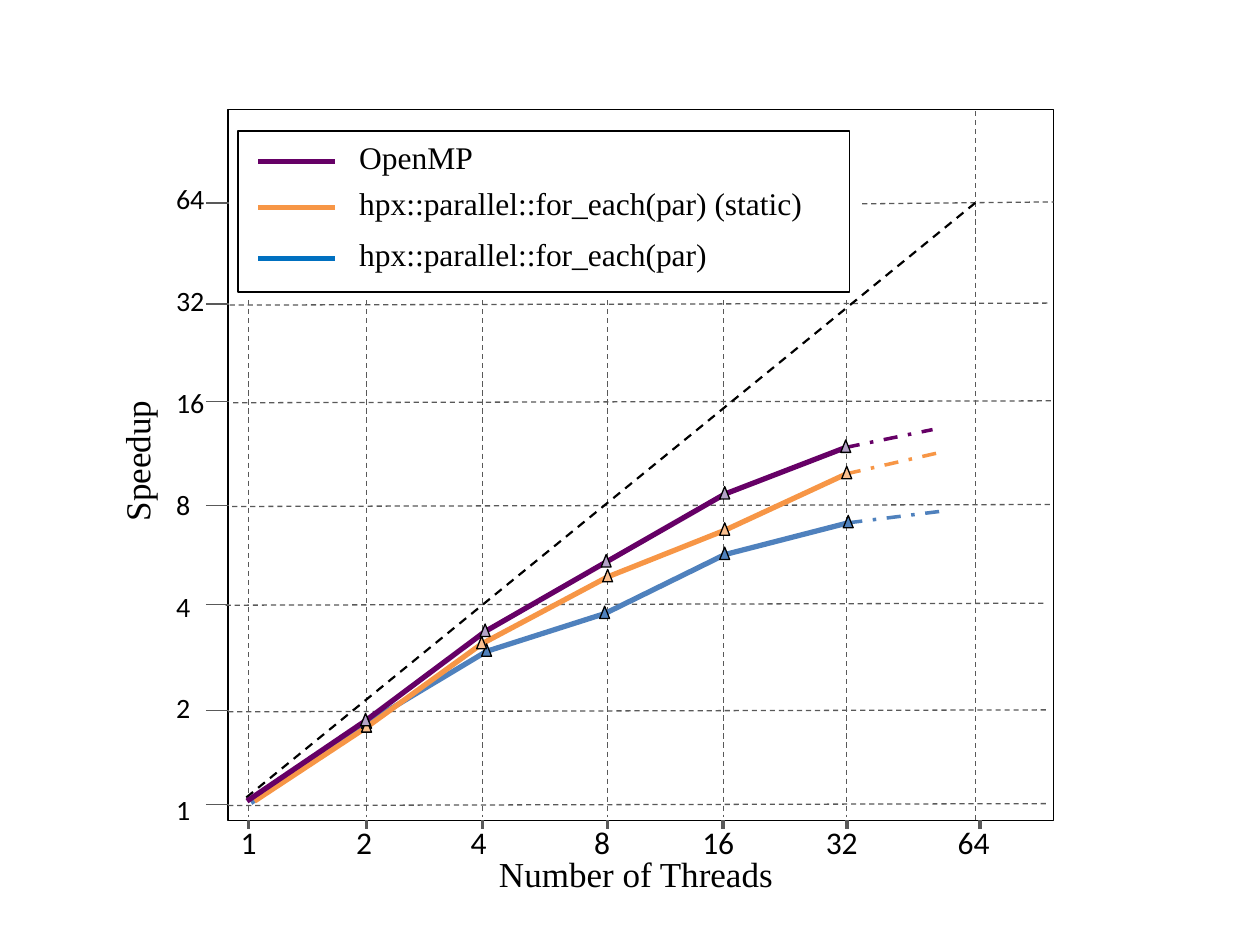
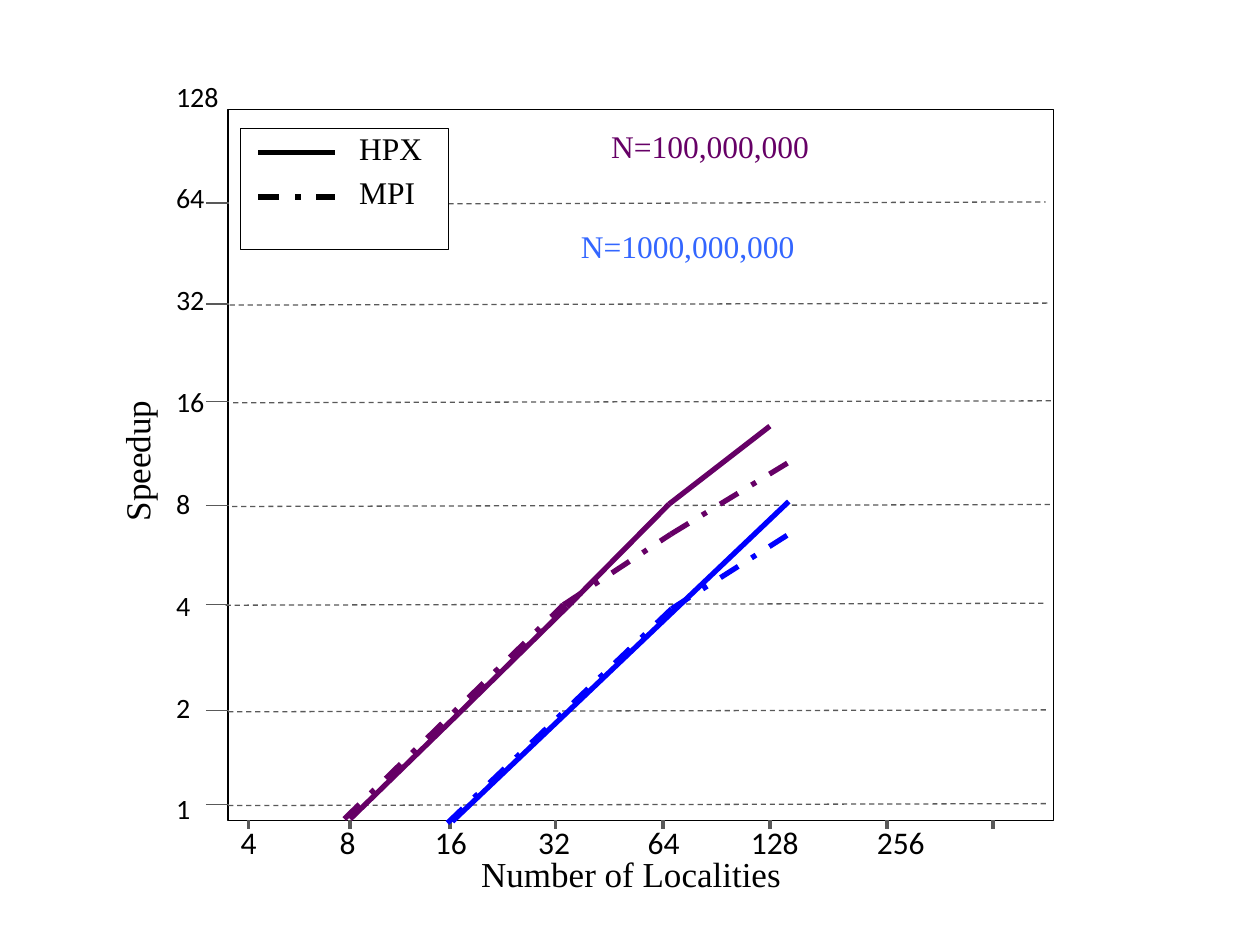
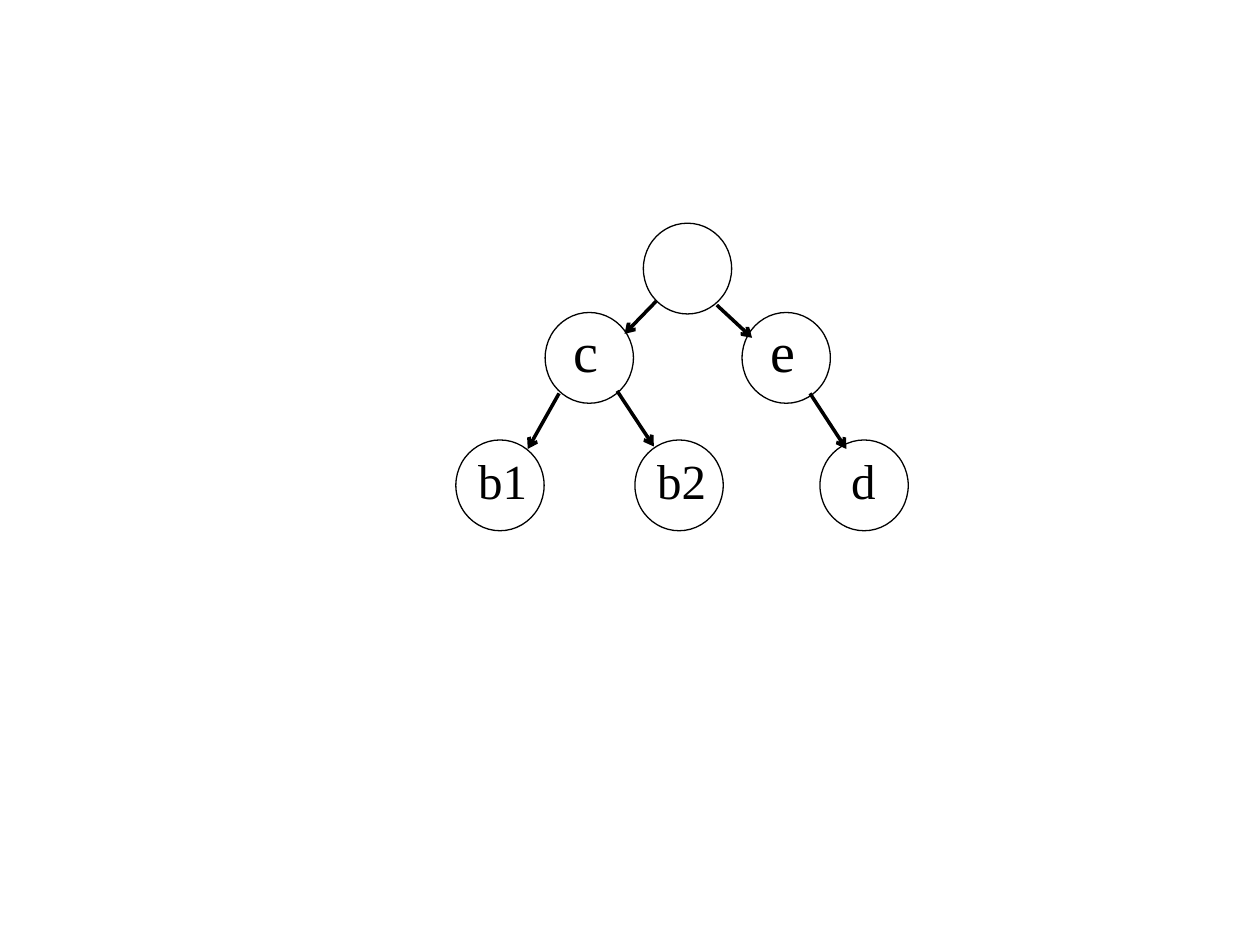
import itertools

import lxml.etree
import pptx
import pptx.dml.color
import pptx.enum.dml
import pptx.enum.shapes
import pptx.oxml.ns
import pptx.util

Cm = pptx.util.Cm
Pt = pptx.util.Pt
SHAPES = pptx.enum.shapes.MSO_SHAPE
DASH = pptx.enum.dml.MSO_LINE.DASH
DASH_DOT = pptx.enum.dml.MSO_LINE.DASH_DOT

COLORS = {
    "black": "000000",
    "axis": "595959",
    "purple": "660066",
    "orange": "F79646",
    "steel": "4F81BD",
    "legend blue": "0070C0",
    "blue": "0000FF",
    "label blue": "3366FF",
    "pale purple": "B3A2C7",
    "pale orange": "FAC090",
}
SERIF = "Times New Roman"
SANS = "Calibri"

PLOT_BOX = (4.6, 2.21, 16.64, 14.33)
TREE_BOX = (9.19, 4.5, 9.12, 6.2)
ROW_HEIGHTS = [1.88, 3.92, 5.89, 7.98, 9.97, 12.12, 14.01]
ROW_STARTS = [0.03, 0.1, 0.08, -0.05, 0, 0]
ROW_LENGTH = 16.54
LABEL_PITCH = 2.07


def color(name):
    return pptx.dml.color.RGBColor.from_string(COLORS[name])


def add_xml(parent, tag, **attributes):
    return lxml.etree.SubElement(parent, pptx.oxml.ns.qn(tag), attributes)


def add_text(slide, box, text, left, top, width, height, size=18, font=SERIF,
             ink="black", rotation=0, space_before=0, tabs=()):
    shape = slide.shapes.add_textbox(
        Cm(box[0] + left), Cm(box[1] + top), Cm(width), Cm(height))
    shape.rotation = rotation
    frame = shape.text_frame
    frame.word_wrap = True
    for index, content in enumerate(text.split("\n")):
        paragraph = frame.add_paragraph() if index else frame.paragraphs[0]
        if index and space_before:
            paragraph.space_before = Pt(space_before)
        if tabs:
            tab_list = add_xml(paragraph._p.get_or_add_pPr(), "a:tabLst")
            for position in tabs:
                add_xml(tab_list, "a:tab", pos=str(int(Cm(position))), algn="ctr")
        run = paragraph.add_run()
        run.text = content
        run.font.size = Pt(size)
        run.font.name = font
        run.font.color.rgb = color(ink)
    return shape


def add_shape(slide, box, kind, left, top, width, height, fill=None):
    shape = slide.shapes.add_shape(
        kind, Cm(box[0] + left), Cm(box[1] + top), Cm(width), Cm(height))
    shape.shadow.inherit = False
    if fill:
        shape.fill.solid()
        shape.fill.fore_color.rgb = color(fill)
    else:
        shape.fill.background()
    shape.line.color.rgb = color("black")
    shape.line.width = Pt(0.75)
    return shape


def add_line(slide, box, start, end, ink="axis", weight=0.75, dash=None, arrow=False):
    connector = slide.shapes.add_connector(
        pptx.enum.shapes.MSO_CONNECTOR.STRAIGHT,
        Cm(box[0] + start[0]), Cm(box[1] + start[1]),
        Cm(box[0] + end[0]), Cm(box[1] + end[1]))
    connector.line.color.rgb = color(ink)
    connector.line.width = Pt(weight)
    if dash:
        connector.line.dash_style = dash
    properties = connector._element.spPr
    if arrow:
        add_xml(properties.find(pptx.oxml.ns.qn("a:ln")), "a:tailEnd", type="arrow")
    add_xml(properties, "a:effectLst")
    return connector


def add_polyline(slide, box, points, ink, dash=None):
    for start, end in itertools.pairwise(points):
        add_line(slide, box, start, end, ink, 3, dash)


def add_axes(slide, box, title, title_left, title_width, columns, column_labels,
             column_tabs, row_labels, top_row):
    width, height = box[2:]
    add_shape(slide, box, SHAPES.RECTANGLE, 0, 0, width, height)
    add_text(slide, box, "\t".join(column_labels), 0, 14.25, width, 1.02,
             font=SANS, tabs=column_tabs)
    add_text(slide, box, "\n".join(row_labels), -1.3, 15.82 - LABEL_PITCH * len(row_labels),
             1.4, LABEL_PITCH * len(row_labels) - 1.13, size=16, font=SANS, space_before=39)
    add_text(slide, box, title, title_left, 14.86, title_width, 1.12, size=20)
    add_text(slide, box, "Speedup", -4.14, 5.69, 4.6, 1.12, size=20, rotation=270)
    for x in columns:
        add_line(slide, box, (x, height), (x, height + 0.17), weight=2)
    rows = [top_row] + [(start, start + ROW_LENGTH) for start in ROW_STARTS]
    for y, (start, end) in zip(ROW_HEIGHTS, rows):
        add_line(slide, box, (-0.45, y), (0.02, y))
        add_line(slide, box, (start, y + 0.02), (end, y - 0.02), dash=DASH)


def add_legend(slide, box, left, top, width, height, entries):
    add_shape(slide, box, SHAPES.RECTANGLE, left, top, width, height)
    for text, y, text_width, ink, dash in entries:
        add_line(slide, box, (0.61, y), (2.16, y), ink, 3, dash)
        add_text(slide, box, text, 2.39, y - 0.6, text_width, 1.02)


def build_thread_slide(slide, box):
    columns = [0.41, 2.79, 5.13, 7.65, 9.98, 12.47, 15.16]
    add_axes(slide, box, "Number of Threads", 5.21, 6.35, columns,
             ["1", "2", "4", "8", "16", "32", "64"],
             [2.49, 4.8, 7.29, 9.63, 12.12, 14.78],
             ["64", "32", "16", "8", "4", "2", "1"], (12.78, 16.64))
    add_legend(slide, box, 0.2, 0.43, 12.32, 3.25, [
        ("OpenMP", 1.04, 2.92, "purple", None),
        ("hpx::parallel::for_each(par) (static)", 1.98, 9.8, "orange", None),
        ("hpx::parallel::for_each(par)", 3, 7.87, "legend blue", None),
    ])
    for x in columns[:-1]:
        add_line(slide, box, (x, 3.84), (x, 14.25), dash=DASH)
    add_line(slide, box, (15.06, 0.03), (15.06, box[3]), dash=DASH)
    add_line(slide, box, (15.06, 1.88), (0.3, 13.92), "black", 1.25, DASH)

    series = [
        ("steel", "steel", [(0.46, 13.97), (2.79, 12.37), (5.21, 10.92), (7.59, 10.16),
                            (10.01, 8.97), (12.5, 8.33)], (14.35, 8.1)),
        ("orange", "pale orange", [(0.53, 13.94), (2.79, 12.45), (5.11, 10.77), (7.65, 9.42),
                                   (10.01, 8.48), (12.47, 7.34)], (14.35, 6.91)),
        ("purple", "pale purple", [(0.38, 13.94), (2.77, 12.32), (5.18, 10.52), (7.62, 9.12),
                                   (10.01, 7.75), (12.45, 6.81)], (14.2, 6.45)),
    ]
    for ink, fill, points, forecast in series:
        add_polyline(slide, box, points, ink)
        add_line(slide, box, points[-1], forecast, ink, 2, DASH_DOT)
    for ink, fill, points, forecast in series:
        for x, y in points[1:]:
            add_shape(slide, box, SHAPES.ISOSCELES_TRIANGLE,
                      x - 0.1, y - 0.15, 0.2, 0.25, fill)


def build_locality_slide(slide, box):
    add_axes(slide, box, "Number of Localities", 4.85, 6.73,
             [0.41, 2.46, 4.47, 6.6, 8.76, 10.92, 13.28, 15.42],
             ["4", "8", "16", "32", "64", "128", "256"],
             [2.16, 4.24, 6.32, 8.53, 10.77, 13.31],
             ["128", "64", "32", "16", "8", "4", "2", "1"], (4.44, 16.48))
    add_legend(slide, box, 0.25, 0.38, 4.19, 2.44, [
        ("HPX", 0.86, 1.9, "black", None),
        ("MPI", 1.76, 1.75, "black", DASH_DOT),
    ])
    add_text(slide, box, "N=100,000,000", 7.47, 0.23, 5.36, 1.8, ink="purple")
    add_text(slide, box, "N=1000,000,000", 6.86, 2.24, 5.36, 1.8, ink="label blue")
    add_polyline(slide, box, [(2.46, 14.3), (4.65, 12.17), (6.83, 10.03), (8.89, 7.95),
                              (10.92, 6.38)], "purple")
    add_polyline(slide, box, [(2.34, 14.3), (6.76, 9.98), (8.92, 8.56), (11.3, 7.11)],
                 "purple", DASH_DOT)
    add_polyline(slide, box, [(4.52, 14.35), (11.3, 7.9)], "blue")
    add_polyline(slide, box, [(4.42, 14.38), (8.94, 10.06), (11.3, 8.56)], "blue", DASH_DOT)


def build_tree_slide(slide, box):
    nodes = [
        ("", 3.78, 0, 0),
        ("e", 5.77, 1.8, 32),
        ("c", 1.8, 1.8, 32),
        ("b1", 0, 4.37, 28),
        ("b2", 3.61, 4.37, 28),
        ("d", 7.34, 4.37, 28),
    ]
    for text, left, top, size in nodes:
        add_shape(slide, box, SHAPES.OVAL, left, top, 1.78, 1.83)
    edges = [
        ((4.04, 1.57), (3.4, 2.23)),
        ((5.26, 1.65), (5.97, 2.31)),
        ((2.08, 3.43), (1.45, 4.55)),
        ((3.25, 3.38), (3.99, 4.5)),
        ((7.14, 3.43), (7.87, 4.55)),
    ]
    for start, end in edges:
        add_line(slide, box, start, end, "black", 2, arrow=True)
    for text, left, top, size in nodes[1:]:
        indent, drop = (0.33, -0.05) if size == 32 else (0.2, 0.08)
        if text == "d":
            indent = 0.38
        add_text(slide, box, text, left + indent, top + drop,
                 2.11 if len(text) > 1 else 1.47, 1.45, size=size)


presentation = pptx.Presentation()
presentation.slide_width = Cm(25.4)
presentation.slide_height = Cm(19.05)
for build, box in [
    (build_thread_slide, PLOT_BOX),
    (build_locality_slide, PLOT_BOX),
    (build_tree_slide, TREE_BOX),
]:
    build(presentation.slides.add_slide(presentation.slide_layouts[6]), box)
presentation.save("out.pptx")
